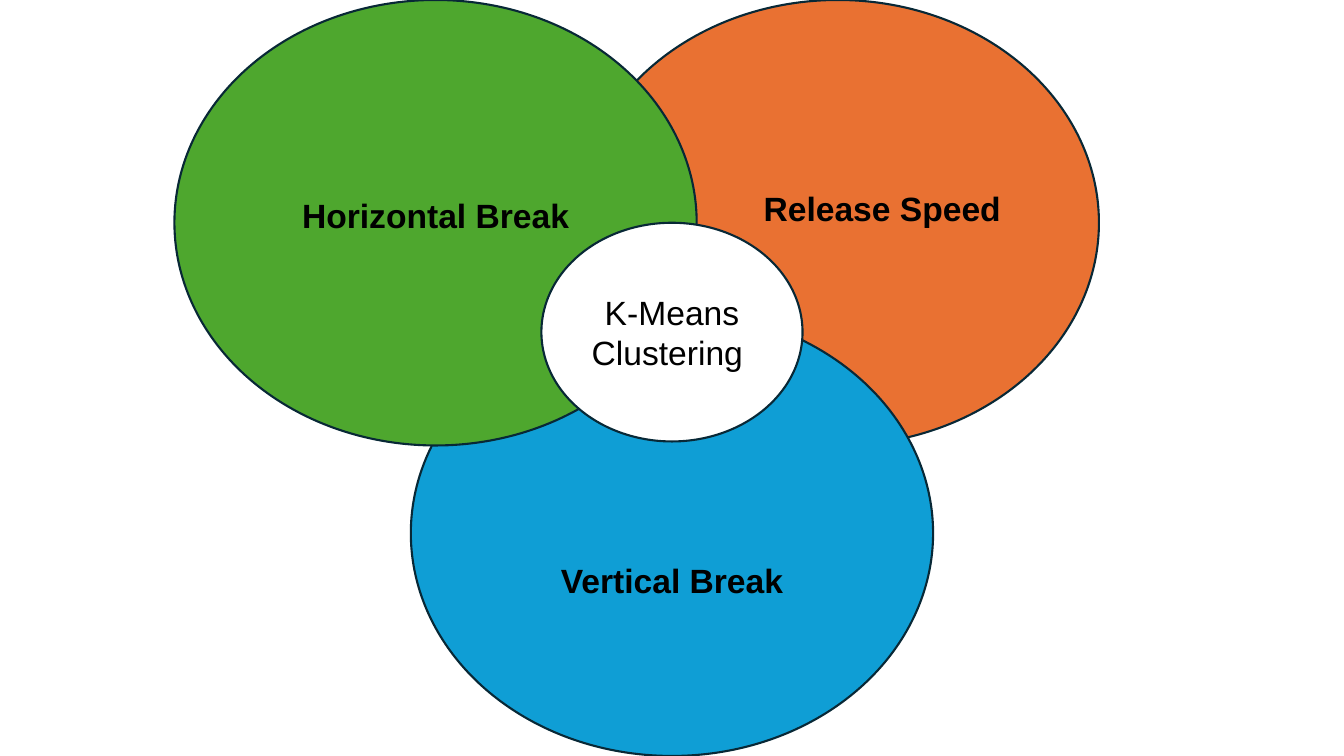
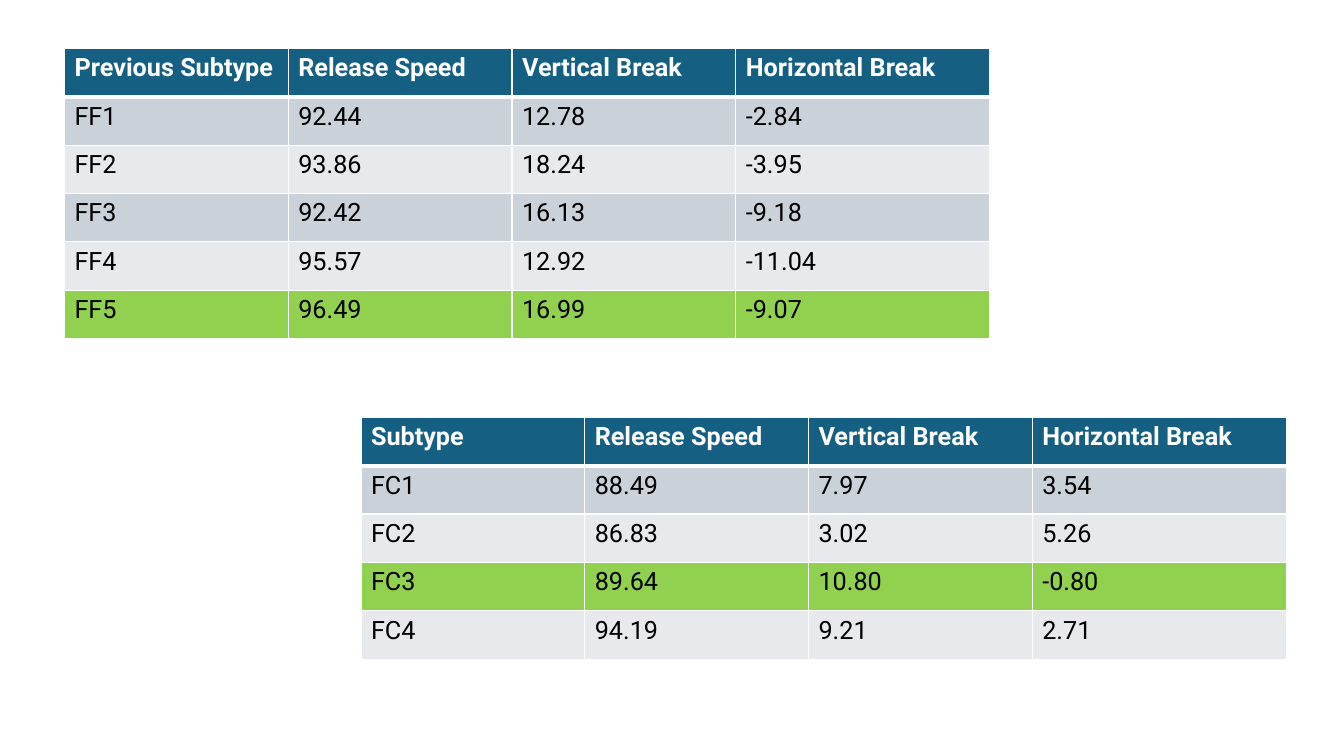
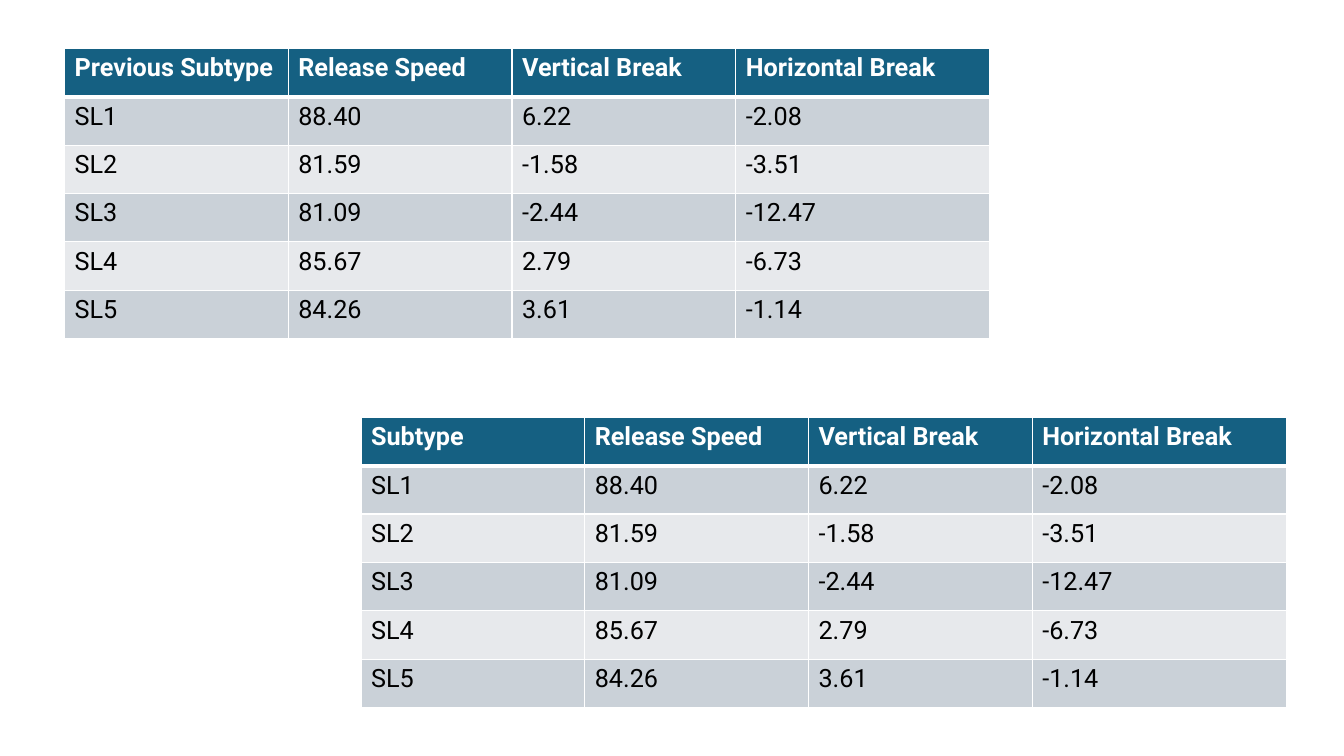
from dataclasses import dataclass

import pptx
import pptx.dml.color
import pptx.enum.shapes
import pptx.enum.text
import pptx.oxml
import pptx.oxml.ns
import pptx.util


@dataclass(frozen=True)
class Theme:
    diagram_font: str = "Arial"
    table_font: str = "Roboto"
    diagram_size: int = 24
    table_size: int = 18
    outline_width: float = 1.5
    border_width: int = 1
    header_border_width: int = 3
    outline: str = "082836"
    black: str = "000000"
    white: str = "FFFFFF"
    orange: str = "E97132"
    blue: str = "0F9ED5"
    green: str = "4EA72E"
    header: str = "156082"
    bands: tuple = ("CAD1D8", "E7E9EC")
    highlight: str = "92D050"


THEME = Theme()
SLIDE_WIDTH = pptx.util.Inches(13.333)
SLIDE_HEIGHT = pptx.util.Inches(7.5)

# Lengths below are percentages of the slide's width or height.
CIRCLE = (38.86, 58.93)
HUB = (19.43, 28.93)
LEFT_CENTRE, MIDDLE_CENTRE, RIGHT_CENTRE = 32.41, 50, 62.34
UPPER_CENTRE = CIRCLE[1] / 2
LOWER_CENTRE = 100 - UPPER_CENTRE
LABEL_HEIGHT = 6.67

COLUMNS = (16.65, 16.65, 16.65, 18.9)
ROW = 6.4
PREVIOUS_TABLE = (4.8, 6.4)
CURRENT_TABLE = (26.86, 55.2)
MEASURES = ("Release Speed", "Vertical Break", "Horizontal Break")

FASTBALLS = (
    ("FF1", "92.44", "12.78", "-2.84"),
    ("FF2", "93.86", "18.24", "-3.95"),
    ("FF3", "92.42", "16.13", "-9.18"),
    ("FF4", "95.57", "12.92", "-11.04"),
    ("FF5", "96.49", "16.99", "-9.07"),
)
CUTTERS = (
    ("FC1", "88.49", "7.97", "3.54"),
    ("FC2", "86.83", "3.02", "5.26"),
    ("FC3", "89.64", "10.80", "-0.80"),
    ("FC4", "94.19", "9.21", "2.71"),
)
SLIDERS = (
    ("SL1", "88.40", "6.22", "-2.08"),
    ("SL2", "81.59", "-1.58", "-3.51"),
    ("SL3", "81.09", "-2.44", "-12.47"),
    ("SL4", "85.67", "2.79", "-6.73"),
    ("SL5", "84.26", "3.61", "-1.14"),
)


def across(percent):
    return int(SLIDE_WIDTH * percent / 100)


def down(percent):
    return int(SLIDE_HEIGHT * percent / 100)


def centred_box(centre, size):
    """Turn a centre and a size into left, top, width and height."""
    (x, y), (width, height) = centre, size
    return (across(x - width / 2), down(y - height / 2),
            across(width), down(height))


def rgb(colour):
    return pptx.dml.color.RGBColor.from_string(colour)


def paint(fill, colour):
    fill.solid()
    fill.fore_color.rgb = rgb(colour)


def write(text_frame, text, font_name, size, colour, bold=False):
    text_frame.text = text
    font = text_frame.paragraphs[0].runs[0].font
    font.name = font_name
    font.size = pptx.util.Pt(size)
    font.bold = bold
    font.color.rgb = rgb(colour)


def write_centred(text_frame, text, bold=False):
    write(text_frame, text, THEME.diagram_font, THEME.diagram_size,
          THEME.black, bold)
    text_frame.word_wrap = True
    text_frame.paragraphs[0].alignment = pptx.enum.text.PP_ALIGN.CENTER


def add_circle(slide, centre, size, colour):
    shape = slide.shapes.add_shape(
        pptx.enum.shapes.MSO_SHAPE.FLOWCHART_CONNECTOR,
        *centred_box(centre, size))
    shape.shadow.inherit = False
    paint(shape.fill, colour)
    shape.line.color.rgb = rgb(THEME.outline)
    shape.line.width = pptx.util.Pt(THEME.outline_width)
    return shape


def add_label(slide, text, centre, width):
    box = slide.shapes.add_textbox(*centred_box(centre, (width, LABEL_HEIGHT)))
    write_centred(box.text_frame, text, bold=True)
    box.text_frame.auto_size = pptx.enum.text.MSO_AUTO_SIZE.SHAPE_TO_FIT_TEXT


def set_borders(cell, top, bottom):
    """Draw white borders; top and bottom are widths in points."""
    properties = cell._tc.get_or_add_tcPr()
    widths = {"lnL": THEME.border_width, "lnR": THEME.border_width,
              "lnT": top, "lnB": bottom}
    for tag, width in widths.items():
        properties.append(pptx.oxml.parse_xml(
            f'<a:{tag} {pptx.oxml.ns.nsdecls("a")} w="{pptx.util.Pt(width)}">'
            f'<a:solidFill><a:srgbClr val="{THEME.white}"/></a:solidFill>'
            f'</a:{tag}>'))


def add_subtype_table(slide, corner, heading, records, highlighted=None):
    """Add a table of pitch subtypes; highlighted names one of them."""
    rows = ((heading, *MEASURES), *records)
    table = slide.shapes.add_table(
        len(rows), len(COLUMNS), across(corner[0]), down(corner[1]),
        across(sum(COLUMNS)), down(ROW * len(rows))).table
    for column, width in zip(table.columns, COLUMNS):
        column.width = across(width)
    for row_index, values in enumerate(rows):
        table.rows[row_index].height = down(ROW)
        is_header = row_index == 0
        if is_header:
            fill = THEME.header
        elif values[0] == highlighted:
            fill = THEME.highlight
        else:
            fill = THEME.bands[(row_index - 1) % 2]
        top = THEME.header_border_width if row_index == 1 else THEME.border_width
        bottom = THEME.header_border_width if is_header else THEME.border_width
        for column_index, value in enumerate(values):
            cell = table.cell(row_index, column_index)
            set_borders(cell, top, bottom)
            paint(cell.fill, fill)
            write(cell.text_frame, value, THEME.table_font, THEME.table_size,
                  THEME.white if is_header else THEME.black, is_header)


def add_blank_slide(presentation):
    return presentation.slides.add_slide(presentation.slide_layouts[6])


def build_diagram(slide):
    add_circle(slide, (RIGHT_CENTRE, UPPER_CENTRE), CIRCLE, THEME.orange)
    add_circle(slide, (MIDDLE_CENTRE, LOWER_CENTRE), CIRCLE, THEME.blue)
    add_circle(slide, (LEFT_CENTRE, UPPER_CENTRE), CIRCLE, THEME.green)
    hub = add_circle(slide, (MIDDLE_CENTRE, 43.93), HUB, THEME.white)
    write_centred(hub.text_frame, "K-Means Clustering ")
    hub.text_frame.vertical_anchor = pptx.enum.text.MSO_ANCHOR.MIDDLE
    add_label(slide, "Release Speed", (65.64, 27.6), 20.25)
    add_label(slide, "Horizontal Break", (LEFT_CENTRE, 28.4), 32.1)
    add_label(slide, "Vertical Break", (MIDDLE_CENTRE, 76.8), 32.1)


def build_comparison(slide, previous, current,
                     previous_highlight=None, current_highlight=None):
    add_subtype_table(slide, PREVIOUS_TABLE, "Previous Subtype",
                      previous, previous_highlight)
    add_subtype_table(slide, CURRENT_TABLE, "Subtype",
                      current, current_highlight)


def main():
    presentation = pptx.Presentation()
    presentation.slide_width = SLIDE_WIDTH
    presentation.slide_height = SLIDE_HEIGHT
    build_diagram(add_blank_slide(presentation))
    build_comparison(add_blank_slide(presentation), FASTBALLS, CUTTERS,
                     "FF5", "FC3")
    build_comparison(add_blank_slide(presentation), SLIDERS, SLIDERS)
    presentation.save("out.pptx")


if __name__ == "__main__":
    main()
